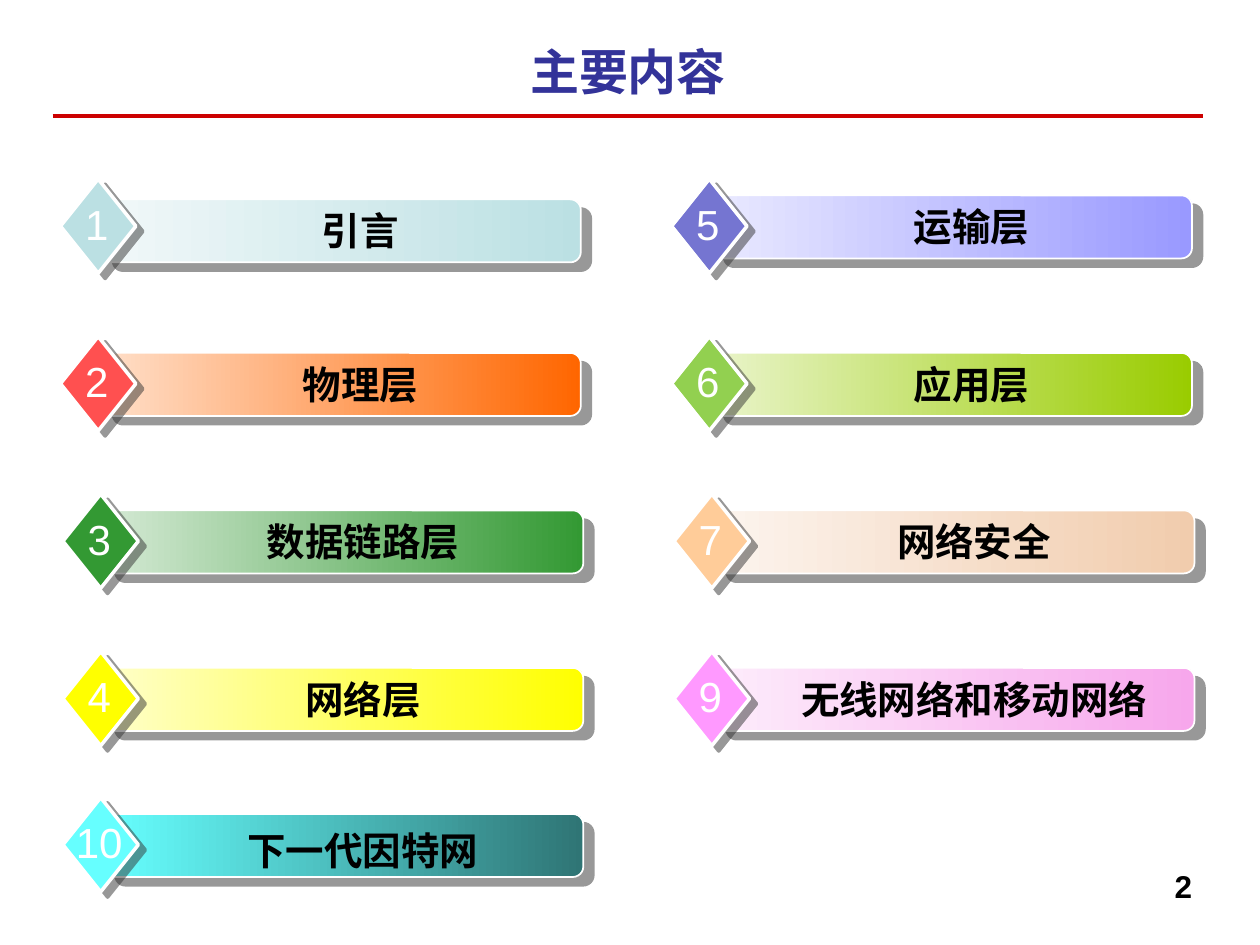
from lxml.etree import SubElement
from pptx import Presentation
from pptx.dml.color import RGBColor
from pptx.enum.shapes import MSO_CONNECTOR, MSO_SHAPE
from pptx.enum.text import MSO_ANCHOR as ANCHOR, PP_ALIGN as ALIGN
from pptx.oxml.ns import qn
from pptx.util import Cm, Pt

CJK = "Noto Sans CJK SC"
COL_STEP, ROW_STEP = 12.32, 3.175

# number, label, diamond colour, bar start, bar end, shifts of bar and label
LEFT = [
    ("1", "引言", "BBE0E3", "F1F8F9", "BBE0E3", 0.08, -0.02),
    ("2", "物理层", "FF5050", "FFDFC9", "FF6600", 0, 0),
    ("3", "数据链路层", "339933", "D4E9D4", "339933", 0, -0.02),
    ("4", "网络层", "FFFF00", "FFFFC9", "FFFF00", 0, 0),
    ("10", "下一代因特网", "66FFFF", "66FFFF", "2F7575", 0, 0.1),
]
RIGHT = [
    ("5", "运输层", "7575D1", "E9E9FF", "9999FF", 0, -0.02),
    ("6", "应用层", "92D050", "E9F4C9", "99CC00", 0, 0),
    ("7", "网络安全", "FFCC99", "FCF4EE", "F1CCAD", 0, -0.02),
    ("9", "无线网络和移动网络", "FF99FF", "FDECFB", "F7A7EC", 0, 0),
]


def rgb(value):
    return RGBColor.from_string(value)


def add_text(shapes, text, x, y, w, h, size=22, font=CJK, color="000000",
             bold=True, align=ALIGN.CENTER, anchor=ANCHOR.MIDDLE,
             top=0, bottom=0, wrap=True):
    tf = shapes.add_textbox(Cm(x), Cm(y), Cm(w), Cm(h)).text_frame
    tf.word_wrap = wrap
    tf.vertical_anchor = anchor
    tf.margin_left = tf.margin_right = Cm(0.25)
    tf.margin_top, tf.margin_bottom = Cm(top), Cm(bottom)
    p = tf.paragraphs[0]
    p.alignment = align
    r = p.add_run()
    r.text = text
    r.font.name, r.font.size, r.font.bold = font, Pt(size), bold
    r.font.color.rgb = rgb(color)
    SubElement(r._r.get_or_add_rPr(), qn("a:ea"), typeface=CJK)


def add_shadowed(shapes, kind, x, y, w, h, line_width, distance, angle):
    sp = shapes.add_shape(kind, Cm(x), Cm(y), Cm(w), Cm(h))
    sp.line.color.rgb = rgb("FFFFFF")
    sp.line.width = Pt(line_width)
    sp.shadow.inherit = False
    effects = sp._element.spPr.find(qn("a:effectLst"))
    shadow = SubElement(effects, qn("a:outerShdw"), dist=str(Pt(distance)),
                        dir=str(angle * 60000), algn="ctr", rotWithShape="0")
    tint = SubElement(shadow, qn("a:srgbClr"), val="333333")
    SubElement(tint, qn("a:alpha"), val="50000")
    return sp


def add_header(slide, x, y, w, h):
    add_text(slide.shapes, "主要内容", x, y, w, h, size=28,
             font="Times New Roman", color="333399", bottom=0.13)
    rule = slide.shapes.add_connector(MSO_CONNECTOR.STRAIGHT, Cm(x),
                                      Cm(y + h), Cm(x + w), Cm(y + h))
    rule.line.color.rgb = rgb("CC0000")
    rule.line.width = Pt(2)
    SubElement(rule._element.spPr, qn("a:effectLst"))


def add_chapter(slide, x, y, chapter):
    number, label, color, start, end, bar_shift, label_shift = chapter
    shapes = slide.shapes.add_group_shape().shapes

    # Gradient bar
    bar = add_shadowed(shapes, MSO_SHAPE.ROUNDED_RECTANGLE, x + 0.84,
                       y + 0.33 + bar_shift, 9.65, 1.27, 1, 7.8, 40)
    bar.fill.gradient()
    bar.fill.gradient_angle = 0
    for stop, stop_color in zip(bar.fill.gradient_stops, (start, end)):
        stop.color.rgb = rgb(stop_color)

    # Numbered diamond
    diamond = add_shadowed(shapes, MSO_SHAPE.DIAMOND, x, y, 1.52, 1.9, 2, 5, 37)
    diamond.fill.solid()
    diamond.fill.fore_color.rgb = rgb(color)
    add_text(shapes, number, x, y + 0.26, 1.46, 1.27, size=24, font="Arial",
             color="FFFFFF", bold=False, anchor=ANCHOR.TOP,
             top=0.13, bottom=0.13, wrap=False)

    # Chapter name
    add_text(shapes, label, x + 1.6, y + 0.33 + bar_shift + label_shift, 8.89, 1.27)


def add_column(slide, x, y, chapters):
    for row, chapter in enumerate(chapters):
        indent = 0.05 if row >= 2 else 0
        lift = 0.23 if row == 4 else 0  # the last row sits a little closer
        add_chapter(slide, x + indent, y + row * ROW_STEP - lift, chapter)


def main():
    prs = Presentation()
    prs.slide_width, prs.slide_height = Cm(25.4), Cm(19.05)
    slide = prs.slides.add_slide(prs.slide_layouts[6])
    add_header(slide, 1.06, 0.64, 23.2, 1.7)
    for col, chapters in enumerate((LEFT, RIGHT)):
        add_column(slide, 1.22 + col * COL_STEP, 3.61, chapters)
    # Page number
    add_text(slide.shapes, "2", 18.36, 17.35, 5.92, 1.32, size=18, font="Arial",
             align=ALIGN.RIGHT, anchor=ANCHOR.TOP, top=0.13, bottom=0.13)
    prs.save("out.pptx")


if __name__ == "__main__":
    main()
